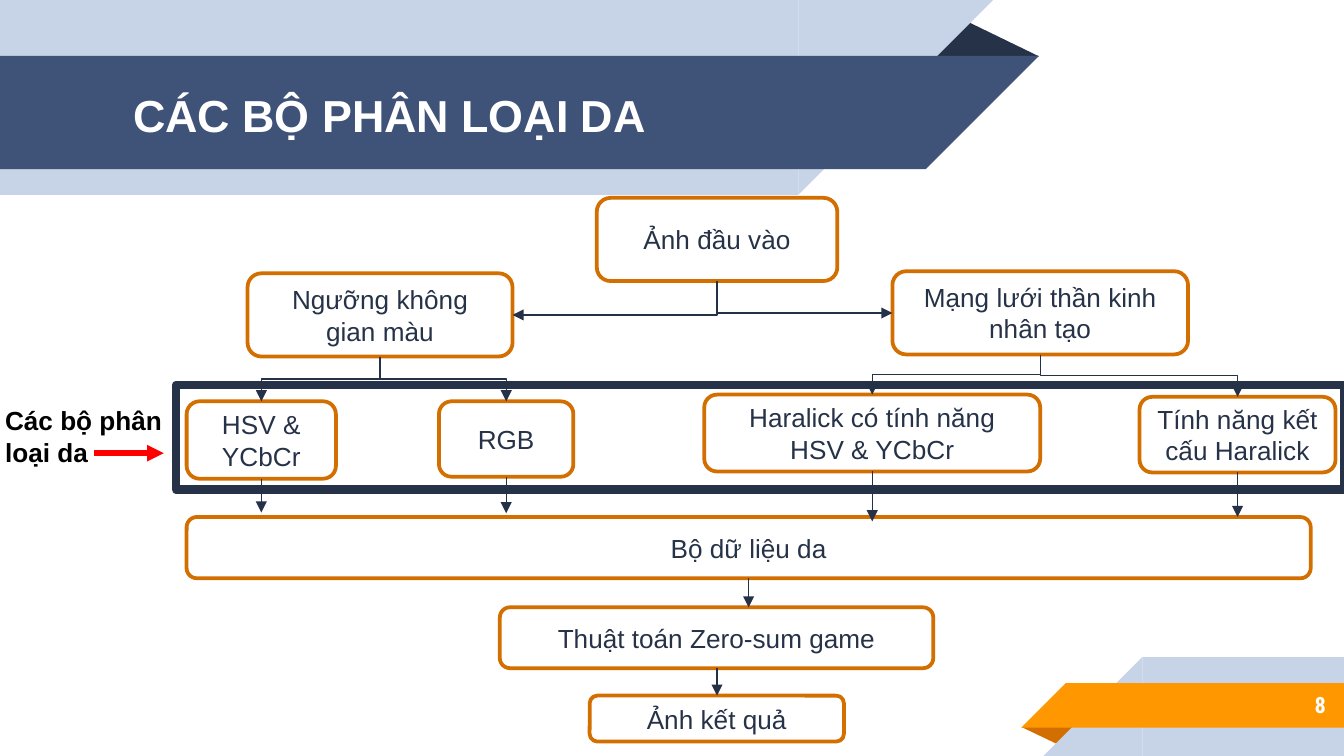
import dataclasses

import lxml.etree
import pptx
import pptx.dml.color
import pptx.enum.shapes
import pptx.enum.text
import pptx.oxml.ns
import pptx.util

Pt = pptx.util.Pt
Kind = pptx.enum.shapes.MSO_SHAPE
Link = pptx.enum.shapes.MSO_CONNECTOR
Align = pptx.enum.text.PP_ALIGN
Anchor = pptx.enum.text.MSO_ANCHOR
qn = pptx.oxml.ns.qn


@dataclasses.dataclass
class Theme:
    """Hold the colours, fonts and type sizes."""
    white: str = "FFFFFF"
    black: str = "000000"
    dark: str = "263248"
    navy: str = "3F5378"
    pale: str = "C7D3E6"
    orange: str = "FF9800"
    rust: str = "D26F00"
    arrow: str = "243147"
    red: str = "FF0000"
    font: str = "Arial"
    narrow: str = "Roboto Condensed"
    title: int = 24
    body: int = 14
    number: int = 12


class Deck:
    """Draw styled elements on the current slide."""

    def __init__(self, theme):
        """Open a wide deck with one blank slide."""
        self.theme = theme
        self.show = pptx.Presentation()
        self.show.slide_width, self.show.slide_height = Pt(720), Pt(405)
        self.slide = self.show.slides.add_slide(self.show.slide_layouts[6])

    def shape(self, kind, area, fill=None, line=None, width=0):
        """Add a preset shape with an optional fill and outline."""
        item = self.slide.shapes.add_shape(kind, *map(Pt, area))
        item.shadow.inherit = False
        if fill:
            item.fill.solid()
            item.fill.fore_color.rgb = pptx.dml.color.RGBColor.from_string(fill)
        else:
            item.fill.background()
        if line:
            item.line.color.rgb = pptx.dml.color.RGBColor.from_string(line)
            item.line.width = Pt(width)
        else:
            item.line.fill.background()
        return item

    def fold(self, area, fill, turn=0):
        """Add the shaded triangle behind a ribbon."""
        item = self.shape(Kind.ISOSCELES_TRIANGLE, area, fill)
        item.adjustments[0] = 0.324
        item.rotation = turn

    def ribbon(self, left, top, width, height, fill, flip):
        """Add a bar with a slanted end, to the right for flipV or left for flipH."""
        self.shape(Kind.RECTANGLE, (left, top, width, height), fill)
        start = left + width if flip == "flipV" else left - height
        end = self.shape(Kind.RIGHT_TRIANGLE, (start, top, height, height), fill)
        end._element.spPr.get_or_add_xfrm().set(flip, "1")

    def words(self, item, text, size, color, bold=False, font=None,
              align=Align.LEFT, anchor=Anchor.MIDDLE):
        """Put one styled run of text into a shape."""
        frame = item.text_frame
        frame.word_wrap = True
        frame.vertical_anchor = anchor
        para = frame.paragraphs[0]
        para.alignment = align
        run = para.add_run()
        run.text = text
        run.font.name = font or self.theme.font
        run.font.size = Pt(size)
        run.font.bold = bold
        run.font.color.rgb = pptx.dml.color.RGBColor.from_string(color)

    def label(self, area, text, size, color, **style):
        """Add a bold text box."""
        item = self.slide.shapes.add_textbox(*map(Pt, area))
        self.words(item, text, size, color, bold=True, **style)

    def node(self, area, text):
        """Add a rounded step of the flow chart."""
        look = self.theme
        item = self.shape(Kind.ROUNDED_RECTANGLE, area, look.white, look.rust, 2)
        self.words(item, text, look.body, look.dark, align=Align.CENTER)

    def arrow(self, start, end, color=None, width=0.75, kind=Link.STRAIGHT):
        """Add a connector with an arrowhead at its end."""
        item = self.slide.shapes.add_connector(kind, *map(Pt, (*start, *end)))
        item.line.color.rgb = pptx.dml.color.RGBColor.from_string(
            color or self.theme.arrow)
        item.line.width = Pt(width)
        props = item._element.spPr
        lxml.etree.SubElement(props.find(qn("a:ln")), qn("a:tailEnd"), type="triangle")
        lxml.etree.SubElement(props, qn("a:effectLst"))
        return item

    def elbow(self, start, end, preset="bentConnector3"):
        """Add a bent arrow that leaves its start downward."""
        (left, top), (right, low) = start, end
        mid_x, mid_y = (left + right) / 2, (top + low) / 2
        half_x, half_y = abs(right - left) / 2, (low - top) / 2
        item = self.arrow((mid_x - half_y, mid_y - half_x),
                          (mid_x + half_y, mid_y + half_x), kind=Link.ELBOW)
        props = item._element.spPr
        props.find(qn("a:prstGeom")).set("prst", preset)
        frame = props.find(qn("a:xfrm"))
        if right > left:
            frame.set("rot", "16200000")
            frame.set("flipH", "1")
        else:
            frame.set("rot", "5400000")


def main():
    """Build the slide of skin classifiers."""
    look = Theme()
    deck = Deck(look)

    deck.fold((495.4, 10.1, 61.2, 20.1), look.dark)
    deck.ribbon(0, 0, 427.7, 104.4, look.pale, "flipV")
    deck.ribbon(0, 30, 496, 60.6, look.navy, "flipV")
    deck.fold((547.2, 389.5, 31, 10), look.rust, 180)
    deck.ribbon(612, 352, 108, 53, look.pale, "flipH")
    deck.ribbon(571, 366, 149, 23.8, look.orange, "flipH")
    deck.label((602.4, 365, 115, 25.2), "8", look.number, look.white,
               font=look.narrow, align=Align.RIGHT)

    deck.shape(Kind.RECTANGLE, (94.2, 206.3, 626, 56), None, look.dark, 4.5)
    deck.label((-4.4, 213.2, 104.4, 41), "Các bộ phân loại da",
               look.body, look.black, anchor=Anchor.TOP)
    deck.arrow((50.4, 242.8), (87.8, 242.8), look.red, 3)

    for area, text in (
        ((319.7, 106, 128.9, 44.6), "Ảnh đầu vào"),
        ((132.6, 146.4, 142, 44.6), "Ngưỡng không gian màu"),
        ((478.1, 145.3, 158.4, 44.6), "Mạng lưới thần kinh nhân tạo"),
        ((100, 215, 80, 41.5), "HSV & YCbCr"),
        ((235.2, 215, 72, 40.4), "RGB"),
        ((377.3, 211.4, 180, 41.2), "Haralick có tính năng HSV & YCbCr"),
        ((610.5, 212.6, 105, 40.5), "Tính năng kết cấu Haralick"),
        ((100, 277, 602.2, 32.8), "Bộ dữ liệu da"),
        ((267.8, 325.4, 232.2, 32.6), "Thuật toán Zero-sum game"),
        ((315.9, 372.7, 136.2, 24.6), "Ảnh kết quả"),
    ):
        deck.node(area, text)

    root, space, net = (384.1, 150.6), (203.6, 191), (557.3, 190)
    hsv, rgb, mixed, plain = 140, 271.2, 467.3, 663
    deck.elbow(root, (478.1, 167.7), "bentConnector2")
    deck.elbow(root, (274.6, 168.7), "bentConnector2")
    deck.elbow(space, (rgb, 215))
    deck.elbow(space, (hsv, 215))
    deck.elbow(net, (plain, 212.6))
    deck.elbow(net, (mixed, 211.4))
    for left, top, low in (
        (hsv, 256.5, 274.6), (rgb, 255.4, 275), (mixed, 252.6, 279.3),
        (plain, 253.1, 277), (401.1, 309.8, 325.4), (root[0], 358, 372.7),
    ):
        deck.arrow((left, top), (left, low))

    deck.label((64.2, 31.2, 414, 60.6), "CÁC BỘ PHÂN LOẠI DA",
               look.title, look.white)
    deck.show.save("out.pptx")


if __name__ == "__main__":
    main()
